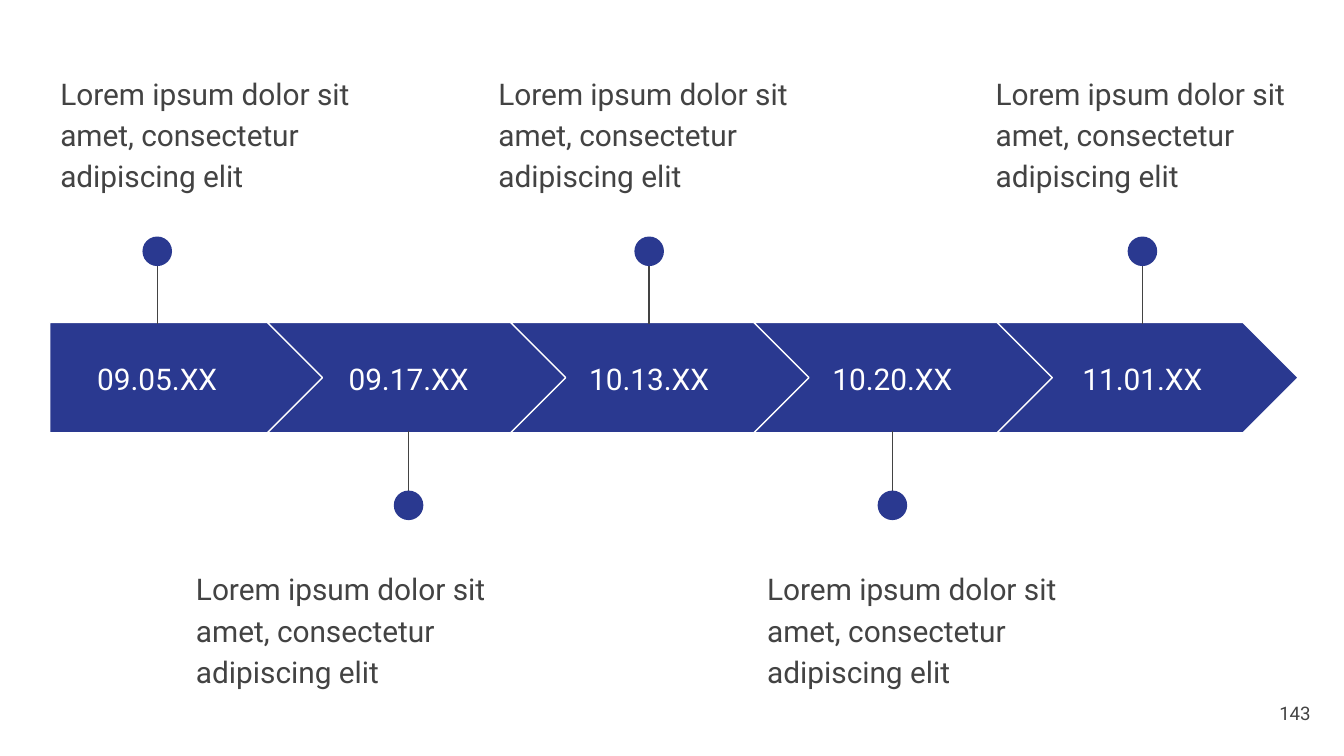
from lxml import etree
from pptx import Presentation
from pptx import util as u
from pptx.dml.color import RGBColor
from pptx.enum import shapes, text
from pptx.oxml.ns import qn

BLURB = "Lorem ipsum dolor sit amet, consectetur adipiscing elit"
MILESTONES = [
    {"date": "09.05.XX", "center": 1.17, "note_left": 0.35, "note": BLURB},
    {"date": "09.17.XX", "center": 3.04, "note_left": 1.36, "note": BLURB},
    {"date": "10.13.XX", "center": 4.83, "note_left": 3.61, "note": BLURB},
    {"date": "10.20.XX", "center": 6.64, "note_left": 5.61, "note": BLURB},
    {"date": "11.01.XX", "center": 8.5, "note_left": 7.31, "note": BLURB},
]
PAGE = "143"

THEME = {
    "font": "Roboto",
    "accent": RGBColor(0x2A, 0x39, 0x90),
    "ink": RGBColor(0x43, 0x43, 0x43),
    "paper": RGBColor(0xFF, 0xFF, 0xFF),
    "label": u.Pt(16),
    "small": u.Pt(10),
    "line": u.Pt(0.75),
}

BAR_TOP, BAR_H = 2.4, 0.82
FIRST_LEFT, FIRST_W = 0.37, 2.05
CHEVRON_LEFT, CHEVRON_W, CHEVRON_STEP = 1.99, 2.24, 1.81
DATE_TOP, DATE_H, FIRST_DATE_W, DATE_W = 2.56, 0.51, 1.59, 1.44
NOTE_W, NOTE_H = 2.45, 0.99
DOT = 0.22
ABOVE = {"note": 0.42, "dot": 1.76, "start": 1.8, "end": 2.41}
BELOW = {"note": 4.11, "dot": 3.65, "start": 3.82, "end": 3.21}

LEFT, CENTER, RIGHT = (text.PP_ALIGN.LEFT, text.PP_ALIGN.CENTER,
                       text.PP_ALIGN.RIGHT)
MIDDLE = {"vertical_anchor": text.MSO_ANCHOR.MIDDLE}


def inches(*values):
    return [u.Inches(v) for v in values]


def set_attrs(obj, values):
    for name, value in values.items():
        setattr(obj, name, value)


def add_text(s, box, words, color, size, para, frame=None):
    tf = s.shapes.add_textbox(*inches(*box)).text_frame
    margins = {f"margin_{side}": u.Inches(0.1)
               for side in ("left", "top", "right", "bottom")}
    set_attrs(tf, {"word_wrap": True, **margins, **(frame or {})})
    p = tf.paragraphs[0]
    set_attrs(p, para)
    r = p.add_run()
    r.text = words
    set_attrs(r.font, {"name": THEME["font"], "size": size})
    r.font.color.rgb = color


def add_filled(parent, kind, box, outline=None):
    sp = parent.shapes.add_shape(kind, *inches(*box))
    sp.shadow.inherit = False
    sp.fill.solid()
    sp.fill.fore_color.rgb = THEME["accent"]
    if outline is None:
        sp.line.fill.background()
    else:
        sp.line.color.rgb = outline
        sp.line.width = THEME["line"]


def add_pin(s, x, side):
    pin = s.shapes.add_group_shape()
    stem = pin.shapes.add_connector(
        shapes.MSO_CONNECTOR.STRAIGHT, *inches(x, side["start"], x, side["end"]))
    stem.line.color.rgb = THEME["ink"]
    stem.line.width = THEME["line"]
    etree.SubElement(stem._element.spPr, qn("a:effectLst"))
    add_filled(pin, shapes.MSO_SHAPE.OVAL, (x - DOT / 2, side["dot"], DOT, DOT))


def add_milestone(s, i, item):
    if i == 0:
        kind, left, width = shapes.MSO_SHAPE.PENTAGON, FIRST_LEFT, FIRST_W
        date_w = FIRST_DATE_W
    else:
        kind, width, date_w = shapes.MSO_SHAPE.CHEVRON, CHEVRON_W, DATE_W
        left = CHEVRON_LEFT + (i - 1) * CHEVRON_STEP
    side = BELOW if i % 2 else ABOVE
    x = item["center"]
    add_filled(s, kind, (left, BAR_TOP, width, BAR_H), THEME["paper"])
    add_text(s, (x - date_w / 2, DATE_TOP, date_w, DATE_H), item["date"],
             THEME["paper"], THEME["label"], {"alignment": CENTER}, MIDDLE)
    add_pin(s, x, side)
    add_text(s, (item["note_left"], side["note"], NOTE_W, NOTE_H), item["note"],
             THEME["ink"], THEME["label"],
             {"alignment": LEFT, "line_spacing": 1.15, "space_after": u.Pt(16)})


def main():
    prs = Presentation()
    prs.slide_width = u.Inches(10)
    prs.slide_height = prs.slide_width * 9 // 16
    s = prs.slides.add_slide(prs.slide_layouts[6])
    for i, item in enumerate(MILESTONES):
        add_milestone(s, i, item)
    add_text(s, (9.25, 5.09, 0.6, 0.43), PAGE, THEME["ink"], THEME["small"],
             {"alignment": RIGHT}, MIDDLE)
    prs.save("out.pptx")


if __name__ == "__main__":
    main()
